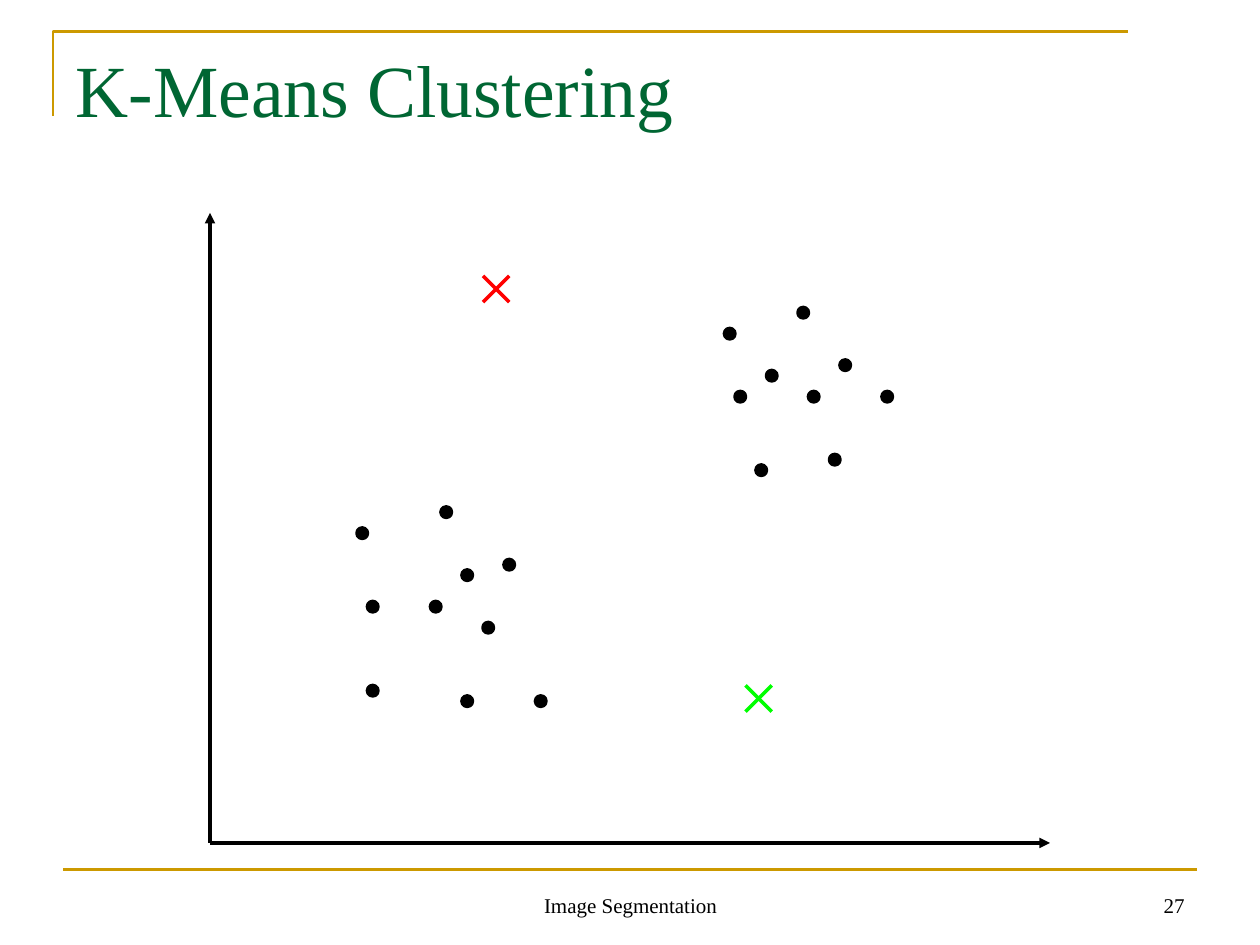
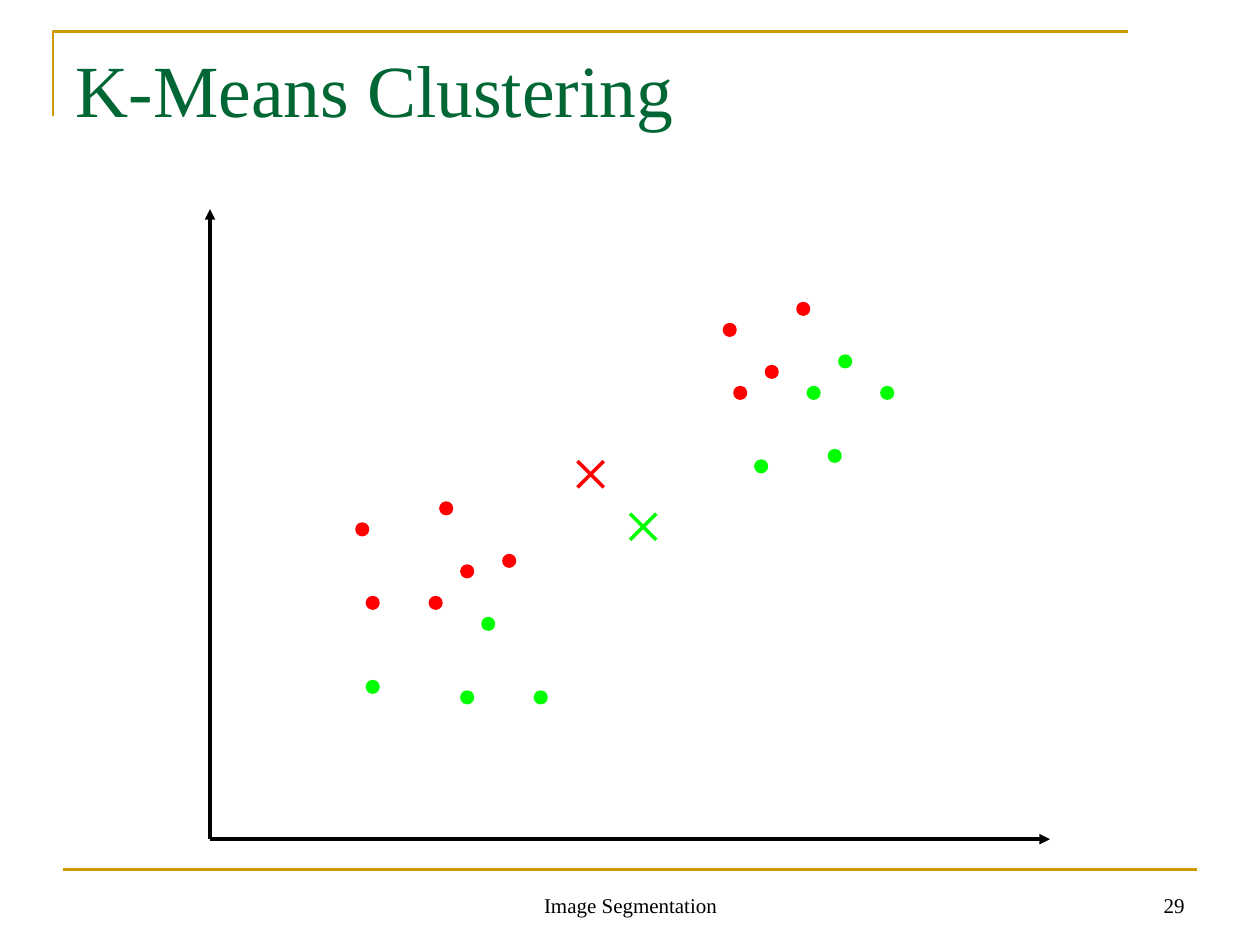
from lxml.etree import SubElement
from pptx import Presentation
from pptx.dml.color import RGBColor
from pptx.enum.shapes import MSO_CONNECTOR, MSO_SHAPE
from pptx.enum.text import MSO_ANCHOR, PP_ALIGN
from pptx.oxml.ns import qn
from pptx.util import Inches, Pt

GOLD, GREEN_TITLE, BLACK, RED, LIME = "CC9900", "006633", "000000", "FF0000", "00FF00"
FONT = "Times New Roman"
UNIT = Inches(1 / 12)
AXIS_LEFT, AXIS_WIDTH, AXIS_HEIGHT = 20, 80, 60
CROSS = 2.5

RED_POINTS = [(69, 49), (70, 43), (73, 45), (76, 51), (42, 32), (48, 27),
              (44, 26), (34, 30), (35, 23), (41, 23)]
LIME_POINTS = [(80, 46), (77, 43), (72, 36), (79, 37), (84, 43), (46, 21),
               (44, 14), (35, 15), (51, 14)]
STEPS = [
    {"number": "27", "base": Inches(6.69), "dots": (BLACK, BLACK),
     "centres": [(46, 54, RED), (71, 15, LIME)]},
    {"number": "29", "base": Inches(6.66), "dots": (RED, LIME),
     "centres": [(55, 36, RED), (60, 31, LIME)]},
]


def paint(color_format, color):
    color_format.rgb = RGBColor.from_string(color)


def add_line(page, start, end, color, width=2, arrow=False):
    line = page.shapes.add_connector(MSO_CONNECTOR.STRAIGHT, *map(int, start + end))
    paint(line.line.color, color)
    line.line.width = Pt(width)
    if arrow:
        SubElement(line.line._get_or_add_ln(), qn("a:tailEnd"), type="triangle")
    SubElement(line.element.spPr, qn("a:effectLst"))
    return line


deck = Presentation()
deck.slide_width, deck.slide_height = Inches(10), Inches(7.5)
layout = deck.slide_layouts[5]
pages = [deck.slides.add_slide(layout) for step in STEPS]

builder = pages[0].shapes.build_freeform(Inches(0.42), Inches(0.92))
builder.add_line_segments(
    [(Inches(0.42), Inches(0.25)), (Inches(8.95), Inches(0.25))], close=False)
corner = builder.convert_to_shape()
corner.shadow.inherit = False
corner.fill.background()
paint(corner.line.color, GOLD)
corner.line.width = Pt(1.5)
rule = add_line(pages[0], (Inches(0.5), Inches(6.9)), (Inches(9.5), Inches(6.9)), GOLD, 1.5)
for shape in (corner, rule):
    layout.shapes.element.append(shape.element)

for page, step in zip(pages, STEPS):
    title = page.shapes.title
    title.left, title.top, title.width, title.height = map(Inches, (0.5, 0.3, 9, 1.25))
    title.text_frame.text = "K-Means Clustering"
    title.text_frame.vertical_anchor = MSO_ANCHOR.TOP
    para = title.text_frame.paragraphs[0]
    para.alignment = PP_ALIGN.LEFT
    para.font.name, para.font.size = FONT, Pt(42)
    paint(para.font.color, GREEN_TITLE)

    for text, left, width, alignment in [
        ("Image Segmentation", 3.42, 3.17, PP_ALIGN.CENTER),
        (step["number"], 7.17, 2.33, PP_ALIGN.RIGHT),
    ]:
        box = page.shapes.add_textbox(Inches(left), Inches(6.83), Inches(width), Inches(0.5))
        box.text_frame.word_wrap = True
        box.text_frame.vertical_anchor = MSO_ANCHOR.BOTTOM
        box.text_frame.text = text
        para = box.text_frame.paragraphs[0]
        para.alignment = alignment
        para.font.name, para.font.size = FONT, Pt(12)
        paint(para.font.color, BLACK)

    base = step["base"]
    origin = (AXIS_LEFT * UNIT, base)
    add_line(page, origin, ((AXIS_LEFT + AXIS_WIDTH) * UNIT, base), BLACK, arrow=True)
    add_line(page, origin, (AXIS_LEFT * UNIT, base - AXIS_HEIGHT * UNIT), BLACK, arrow=True)

    for points, color in zip((RED_POINTS, LIME_POINTS), step["dots"]):
        for column, row in points:
            dot = page.shapes.add_shape(
                MSO_SHAPE.OVAL, column * UNIT, base - row * UNIT, UNIT, UNIT)
            dot.shadow.inherit = False
            dot.fill.solid()
            paint(dot.fill.fore_color, color)
            paint(dot.line.color, color)
            dot.line.width = Pt(2)

    for column, row, color in step["centres"]:
        left, right = column * UNIT, (column + CROSS) * UNIT
        top, bottom = base - row * UNIT, base - (row - CROSS) * UNIT
        add_line(page, (left, top), (right, bottom), color)
        add_line(page, (left, bottom), (right, top), color)

deck.save("out.pptx")
